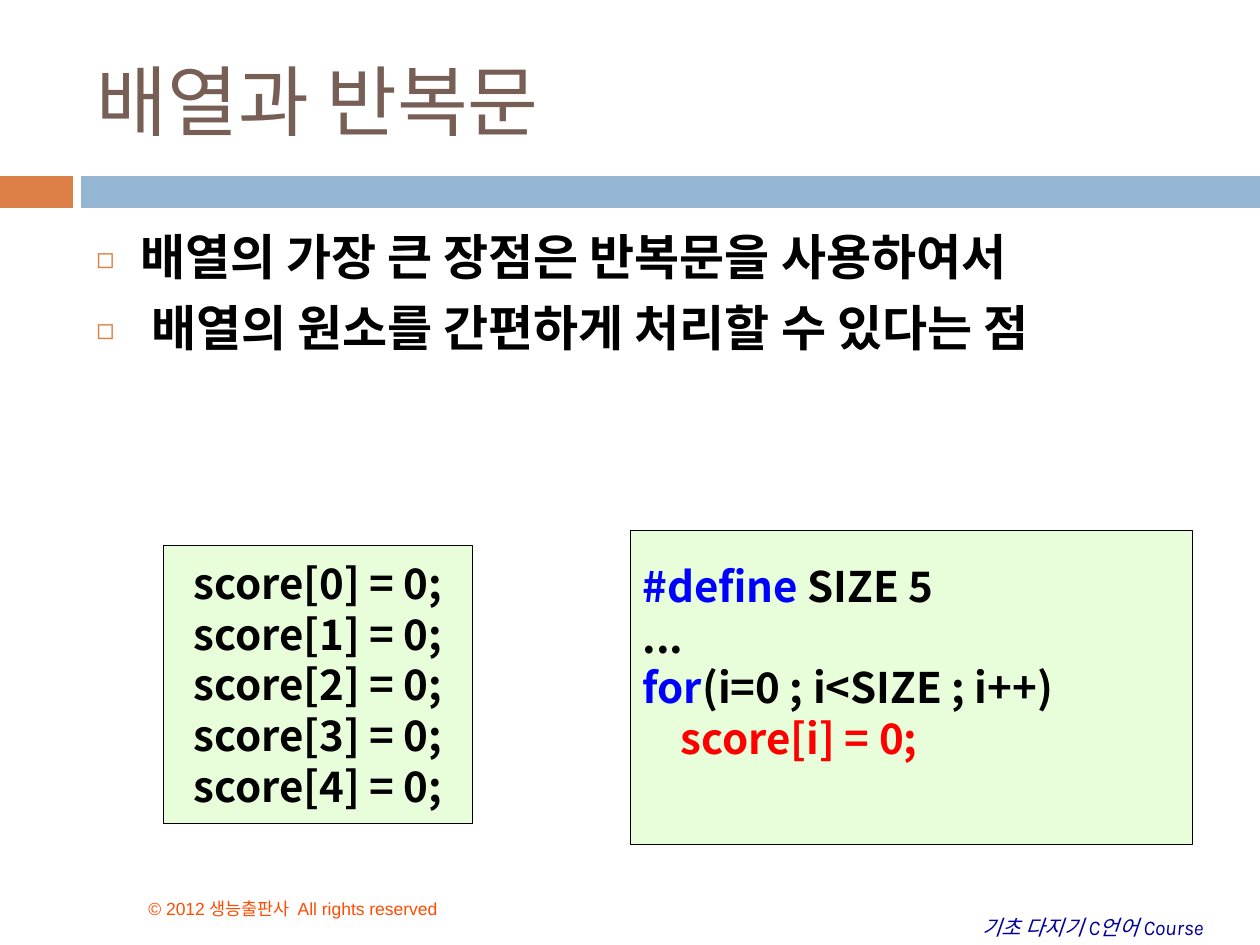
from lxml import etree
from pptx import Presentation
from pptx import util as u
from pptx.dml.color import RGBColor
from pptx.enum import shapes, text
from pptx.oxml.ns import qn

BLACK = RGBColor(0, 0, 0)
BLUE = RGBColor(0, 0, 255)
RED = RGBColor(255, 0, 0)
NAVY = RGBColor(0, 0, 0x99)
BROWN = RGBColor(0x77, 0x5F, 0x55)
ORANGE = RGBColor(0xDD, 0x80, 0x47)
SKY = RGBColor(0x94, 0xB6, 0xD2)
GREEN = RGBColor(0xE8, 0xFE, 0xDB)
FLAME = RGBColor(0xFF, 0x4C, 0)
SANS = "Noto Sans CJK KR"

TITLE = "배열과 반복문"
POINTS = ["배열의 가장 큰 장점은 반복문을 사용하여서",
          " 배열의 원소를 간편하게 처리할 수 있다는 점"]
BARS = [((0, 176, 73, 32), ORANGE), ((81, 176, 1179, 32), SKY)]
LOOP = [[("#define", BLUE), (" SIZE 5", BLACK)],
        [("...", BLACK)],
        [("for", BLUE), ("(i=0 ; i<SIZE ; i++)", BLACK)],
        [("    score[i] = 0;", RED)]]
SCORES = [[(f"score[{i}] = 0;", BLACK)] for i in range(5)]
CODES = [((630, 530, 562, 314), LOOP, 30, 0),
         ((163, 545, 309, 278), SCORES, 12, 18)]
NOTE = "기초 다지기 C언어 Course"
RIGHTS = "© 2012 생능출판사  All rights reserved"


def px(n):
    return u.Emu(round(n * 914400 / 126))


def place(box):
    return [px(n) for n in box]


def style(run, size, name, color, bold=False, slant=False):
    font = run.font
    font.size, font.name = u.Pt(size), name
    font.bold, font.italic = bold, slant
    font.color.rgb = color


def bullet(para):
    props = para._p.get_or_add_pPr()
    props.set("marL", str(px(44)))
    props.set("indent", str(-px(44)))
    color = etree.SubElement(props, qn("a:buClr"))
    etree.SubElement(color, qn("a:srgbClr")).set("val", str(ORANGE))
    etree.SubElement(props, qn("a:buSzPct")).set("val", "60000")
    etree.SubElement(props, qn("a:buFont")).set("typeface", SANS)
    etree.SubElement(props, qn("a:buChar")).set("char", "◻")


def rect(slide, box, fill):
    shape = slide.shapes.add_shape(shapes.MSO_SHAPE.RECTANGLE, *place(box))
    shape.shadow.inherit = False
    shape.fill.solid()
    shape.fill.fore_color.rgb = fill
    shape.line.fill.background()
    return shape


def label(slide, box, words):
    frame = slide.shapes.add_textbox(*place(box)).text_frame
    frame.text = words
    return frame, frame.paragraphs[0].runs[0]


def code(slide, box, lines, top, indent):
    shape = rect(slide, box, GREEN)
    shape.line.color.rgb = BLACK
    shape.line.width = u.Pt(0.33)
    frame = shape.text_frame
    frame.word_wrap = True
    frame.vertical_anchor = text.MSO_ANCHOR.TOP
    frame.margin_top = px(top)
    for i, line in enumerate(lines):
        para = frame.add_paragraph() if i else frame.paragraphs[0]
        para.alignment = text.PP_ALIGN.JUSTIFY
        para.line_spacing = u.Pt(29)
        para._p.get_or_add_pPr().set("indent", str(px(indent)))
        for words, color in line:
            run = para.add_run()
            run.text = words
            style(run, 24, SANS, color, bold=True)


def main():
    deck = Presentation()
    deck.slide_width, deck.slide_height = px(1260), px(945)
    slide = deck.slides.add_slide(deck.slide_layouts[5])

    for box, fill in BARS:
        rect(slide, box, fill)

    frame, run = label(slide, (970, 908, 275, 37), NOTE)
    frame.word_wrap = False
    style(run, 12, "Karla", NAVY, slant=True)

    frame, run = label(slide, (136, 872, 483, 53), RIGHTS)
    frame.word_wrap = True
    frame.vertical_anchor = text.MSO_ANCHOR.BOTTOM
    style(run, 10, "Arial", FLAME)

    title = slide.shapes.title
    title.left, title.top, title.width, title.height = place((84, 32, 1124, 136))
    title.text_frame.text = TITLE
    title.text_frame.vertical_anchor = text.MSO_ANCHOR.MIDDLE
    head = title.text_frame.paragraphs[0]
    head.alignment = text.PP_ALIGN.LEFT
    style(head.runs[0], 44, "Cabin", BROWN)

    frame, run = label(slide, (84, 220, 1124, 620), "\n".join(POINTS))
    frame.word_wrap = True
    frame.margin_top = px(7)
    for i, para in enumerate(frame.paragraphs):
        bullet(para)
        para.line_spacing = u.Pt(33.6)
        para.space_before = u.Pt(7 if i else 0)
        style(para.runs[0], 28, SANS, BLACK, bold=True)

    for part in CODES:
        code(slide, *part)

    deck.save("out.pptx")


if __name__ == "__main__":
    main()
